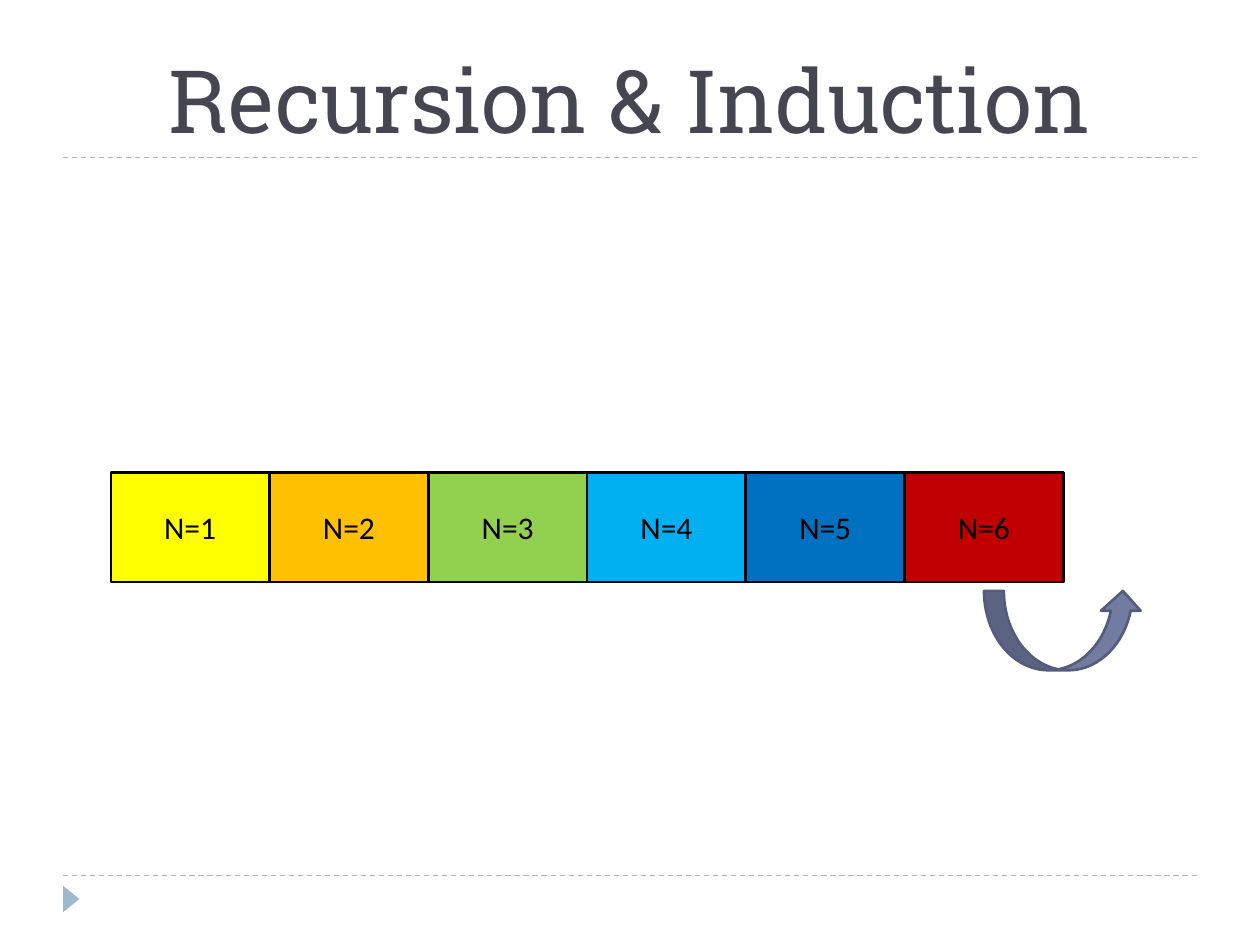
from pptx import Presentation
from pptx.dml.color import RGBColor
from pptx.enum.dml import MSO_LINE
from pptx.enum.shapes import MSO_CONNECTOR, MSO_SHAPE
from pptx.enum.text import MSO_ANCHOR, PP_ALIGN
from pptx.oxml.ns import qn
from pptx.util import Inches, Pt
from lxml import etree

CENTER = PP_ALIGN.CENTER
MIDDLE, BOTTOM = MSO_ANCHOR.MIDDLE, MSO_ANCHOR.BOTTOM
RECTANGLE, TRIANGLE = MSO_SHAPE.RECTANGLE, MSO_SHAPE.ISOSCELES_TRIANGLE
CURVED_ARROW = MSO_SHAPE.CURVED_UP_ARROW
STRAIGHT, DASH = MSO_CONNECTOR.STRAIGHT, MSO_LINE.DASH

TITLE = "Recursion & Induction"
CELLS = [
    ("N=1", "yellow"),
    ("N=2", "orange"),
    ("N=3", "green"),
    ("N=4", "sky"),
    ("N=5", "blue"),
    ("N=6", "red"),
]
COLORS = {
    "title": "464653",
    "rule": "9FB8CD",
    "black": "000000",
    "yellow": "FFFF00",
    "orange": "FFC000",
    "green": "92D050",
    "sky": "00B0F0",
    "blue": "0070C0",
    "red": "C00000",
    "arrow": "727CA3",
    "arrow_edge": "545C79",
}

WIDTH, HEIGHT = 10, 7.5
MARGIN = 0.5
TITLE_TOP, TITLE_BOTTOM = 0.17, 1.25
RULES = [TITLE_BOTTOM, 6.95]
ROW_LEFT, ROW_TOP = 0.88, 3.75
CELL_WIDTH, CELL_HEIGHT = 1.26, 0.87
ARROW_LEFT, ARROW_TOP = 7.81, 4.69


def color(name):
    return RGBColor.from_string(COLORS[name])


def write(box, text, size, font, ink, anchor):
    frame = box.text_frame
    frame.word_wrap = True
    frame.vertical_anchor = anchor
    para = frame.paragraphs[0]
    para.alignment = CENTER
    span = para.add_run()
    span.text = text
    span.font.size = Pt(size)
    span.font.name = font
    span.font.color.rgb = color(ink)


def add_box(page, kind, left, top, width, height, fill, edge=None):
    box = page.shapes.add_shape(kind, *map(Inches, (left, top, width, height)))
    box.shadow.inherit = False
    box.fill.solid()
    box.fill.fore_color.rgb = color(fill)
    if edge:
        box.line.color.rgb = color(edge)
        box.line.width = Pt(1.5)
    else:
        box.line.fill.background()
    return box


def add_rule(page, top):
    rule = page.shapes.add_connector(
        STRAIGHT, Inches(MARGIN), Inches(top), Inches(WIDTH - MARGIN), Inches(top))
    rule.line.color.rgb = color("rule")
    rule.line.width = Pt(0.75)
    rule.line.dash_style = DASH
    etree.SubElement(rule._element.spPr, qn("a:effectLst"))


def main():
    deck = Presentation()
    deck.slide_width, deck.slide_height = Inches(WIDTH), Inches(HEIGHT)
    page = deck.slides.add_slide(deck.slide_layouts[5])

    for top in RULES:
        add_rule(page, top)
    marker = add_box(page, TRIANGLE, 0.46, 7.07, 0.21, 0.13, "rule")
    marker.rotation = 90

    title = page.shapes.title
    title.left, title.top = Inches(MARGIN), Inches(TITLE_TOP)
    title.width = Inches(WIDTH - 2 * MARGIN)
    title.height = Inches(TITLE_BOTTOM - TITLE_TOP)
    write(title, TITLE, 50, "Roboto Slab", "title", BOTTOM)

    for column, (label, fill) in enumerate(CELLS):
        cell = add_box(page, RECTANGLE, ROW_LEFT + column * CELL_WIDTH, ROW_TOP,
                       CELL_WIDTH, CELL_HEIGHT, fill, "black")
        write(cell, label, 18, "Calibri", "black", MIDDLE)

    add_box(page, CURVED_ARROW, ARROW_LEFT, ARROW_TOP,
            CELL_WIDTH, CELL_WIDTH / 2, "arrow", "arrow_edge")
    deck.save("out.pptx")


if __name__ == "__main__":
    main()
